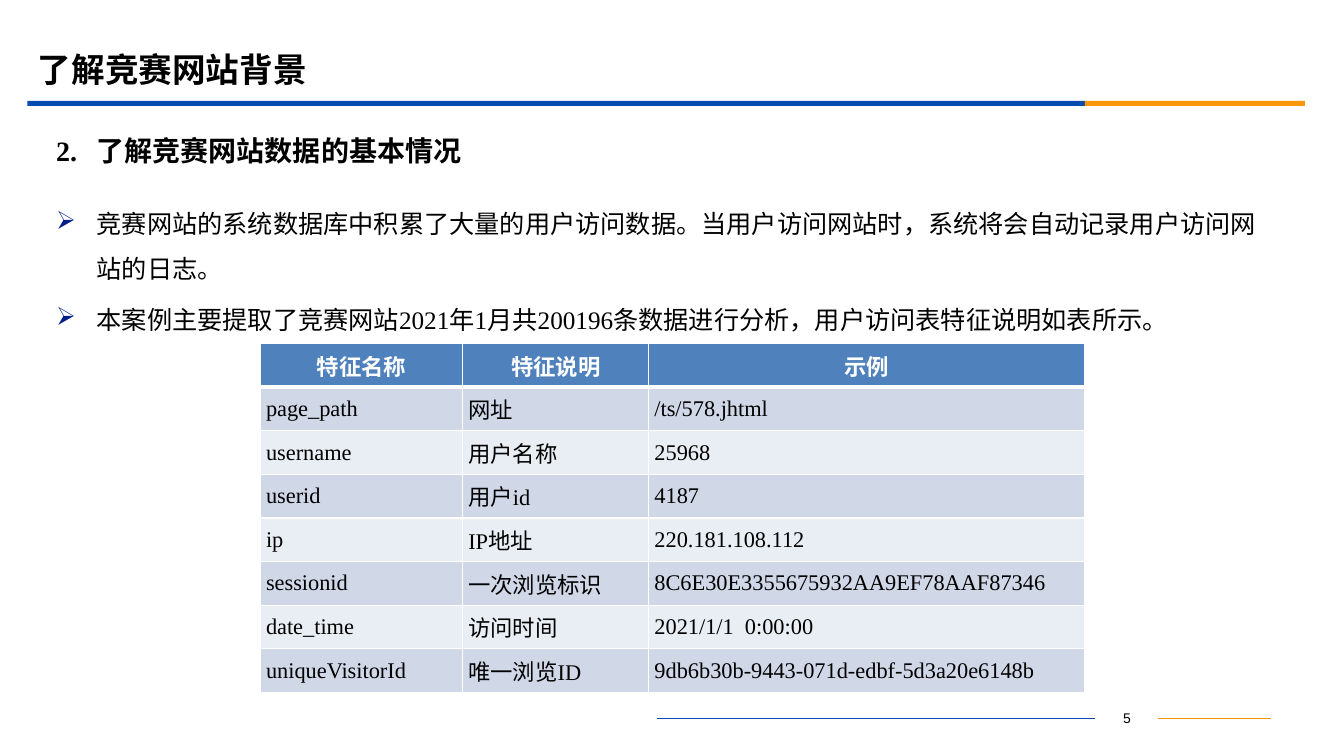
from lxml.etree import SubElement
from pptx import Presentation
from pptx.dml.color import RGBColor
from pptx.enum.shapes import MSO_CONNECTOR as CONN, MSO_SHAPE as SHAPE
from pptx.enum.text import MSO_ANCHOR as ANCHOR, PP_ALIGN as ALIGN
from pptx.oxml.ns import qn
from pptx.util import Pt

BLACK = RGBColor(0x00, 0x00, 0x00)
WHITE = RGBColor(0xFF, 0xFF, 0xFF)
BLUE = RGBColor(0x06, 0x4B, 0xB2)
ORANGE = RGBColor(0xFB, 0x97, 0x08)
AMBER = RGBColor(0xF1, 0x95, 0x00)
NAVY = RGBColor(0x03, 0x20, 0x89)
HEADER = RGBColor(0x4F, 0x81, 0xBD)
BANDS = RGBColor(0xD0, 0xD8, 0xE8), RGBColor(0xE9, 0xED, 0xF4)

POINTS = [
    "竞赛网站的系统数据库中积累了大量的用户访问数据。当用户访问网站时，系统将会自动记录用户访问网站的日志。",
    "本案例主要提取了竞赛网站2021年1月共200196条数据进行分析，用户访问表特征说明如表所示。",
]
FEATURES = [
    ("特征名称", "特征说明", "示例"),
    ("page_path", "网址", "/ts/578.jhtml"),
    ("username", "用户名称", "25968"),
    ("userid", "用户id", "4187"),
    ("ip", "IP地址", "220.181.108.112"),
    ("sessionid", "一次浏览标识", "8C6E30E3355675932AA9EF78AAF87346"),
    ("date_time", "访问时间", "2021/1/1  0:00:00"),
    ("uniqueVisitorId", "唯一浏览ID", "9db6b30b-9443-071d-edbf-5d3a20e6148b"),
]


class Deck:
    latin = "Times New Roman"
    east = "Noto Sans CJK SC"
    indent = 29

    def __init__(self, width, height):
        self.prs = Presentation()
        self.prs.slide_width, self.prs.slide_height = Pt(width), Pt(height)
        self.s = self.prs.slides.add_slide(self.prs.slide_layouts[6])

    def style(self, p, size, bold=False, color=BLACK, font=None):
        for r in p.runs:
            r.font.size, r.font.bold = Pt(size), bold
            r.font.color.rgb = color
            r.font.name = font or self.latin
            SubElement(r.font._element, qn("a:ea"), typeface=self.east)

    def hang(self, p):
        pPr = p._p.get_or_add_pPr()
        pPr.set("marL", str(Pt(self.indent)))
        pPr.set("indent", str(-Pt(self.indent)))
        return pPr

    def bullet(self, p):
        pPr = self.hang(p)
        clr = SubElement(pPr, qn("a:buClr"))
        SubElement(clr, qn("a:srgbClr"), val=str(NAVY))
        SubElement(pPr, qn("a:buChar"), char="➢")

    def tab(self, p):
        tabs = SubElement(self.hang(p), qn("a:tabLst"))
        SubElement(tabs, qn("a:tab"), pos=str(Pt(self.indent)), algn="l")

    def box(self, x, y, w, h, anchor=ANCHOR.MIDDLE):
        tf = self.s.shapes.add_textbox(Pt(x), Pt(y), Pt(w), Pt(h)).text_frame
        tf.word_wrap = True
        tf.vertical_anchor = anchor
        return tf

    def text(self, x, y, w, h, text, size, align=ALIGN.LEFT, **style):
        p = self.box(x, y, w, h).paragraphs[0]
        p.text, p.alignment = text, align
        if "\t" in text:
            self.tab(p)
        self.style(p, size, **style)

    def bullets(self, x, y, w, h, items, size):
        tf = self.box(x, y, w, h, ANCHOR.TOP)
        for i, item in enumerate(items):
            p = tf.add_paragraph() if i else tf.paragraphs[0]
            p.text = item
            self.bullet(p)
            p.line_spacing = 1.5
            if i:
                p.space_before = Pt(4)
            self.style(p, size)

    def bar(self, x, y, w, h, color):
        sp = self.s.shapes.add_shape(SHAPE.RECTANGLE, Pt(x), Pt(y), Pt(w), Pt(h))
        sp.shadow.inherit = False
        sp.fill.solid()
        sp.fill.fore_color.rgb = color
        sp.line.fill.background()

    def rule(self, x1, x2, y, color):
        ln = self.s.shapes.add_connector(CONN.STRAIGHT, Pt(x1), Pt(y), Pt(x2), Pt(y))
        ln.line.color.rgb, ln.line.width = color, Pt(0.75)
        SubElement(ln._element.spPr, qn("a:effectLst"))

    def borders(self, cell, top, bottom):
        tcPr = cell._tc.get_or_add_tcPr()
        for i, (side, width) in enumerate(zip("LRTB", (1, 1, top, bottom))):
            ln = SubElement(tcPr, qn("a:ln" + side), w=str(Pt(width)))
            fill = SubElement(ln, qn("a:solidFill"))
            SubElement(fill, qn("a:srgbClr"), val=str(WHITE))

    def table(self, x, y, widths, row_height, rows, size):
        tb = self.s.shapes.add_table(len(rows), len(widths), Pt(x), Pt(y),
                                     Pt(sum(widths)), Pt(row_height * len(rows))).table
        for col, width in zip(tb.columns, widths):
            col.width = Pt(width)
        for i, row in enumerate(rows):
            tb.rows[i].height = Pt(row_height)
            head = i == 0
            for j, value in enumerate(row):
                cell = tb.cell(i, j)
                cell.margin_left = cell.margin_right = Pt(4)
                cell.margin_top = cell.margin_bottom = 0
                cell.vertical_anchor = ANCHOR.MIDDLE
                self.borders(cell, 3 if i == 1 else 1, 3 if head else 1)
                cell.fill.solid()
                cell.fill.fore_color.rgb = HEADER if head else BANDS[(i - 1) % 2]
                p = cell.text_frame.paragraphs[0]
                p.text = value
                p.alignment = ALIGN.CENTER if head else ALIGN.JUSTIFY
                self.style(p, size, head, WHITE if head else BLACK)


def main():
    deck = Deck(960, 540)
    deck.bar(19.5, 72, 755.5, 3.6, BLUE)
    deck.bar(775, 72, 157, 3.6, ORANGE)
    deck.text(782.5, 503.5, 45, 18, "5", 10, ALIGN.CENTER, font="Arial")
    deck.rule(827.5, 908, 513, AMBER)
    deck.rule(469.5, 782.5, 513, BLUE)
    deck.bullets(33, 134.5, 875, 342, POINTS, 18)
    deck.text(20, 28, 864, 42, "了解竞赛网站背景", 24, bold=True)
    deck.text(33, 90, 875, 34, "2.\t了解竞赛网站数据的基本情况", 20, bold=True)
    deck.table(186, 245.5, (144.5, 133, 311), 31.15, FEATURES, 16)
    deck.prs.save("out.pptx")


if __name__ == "__main__":
    main()
